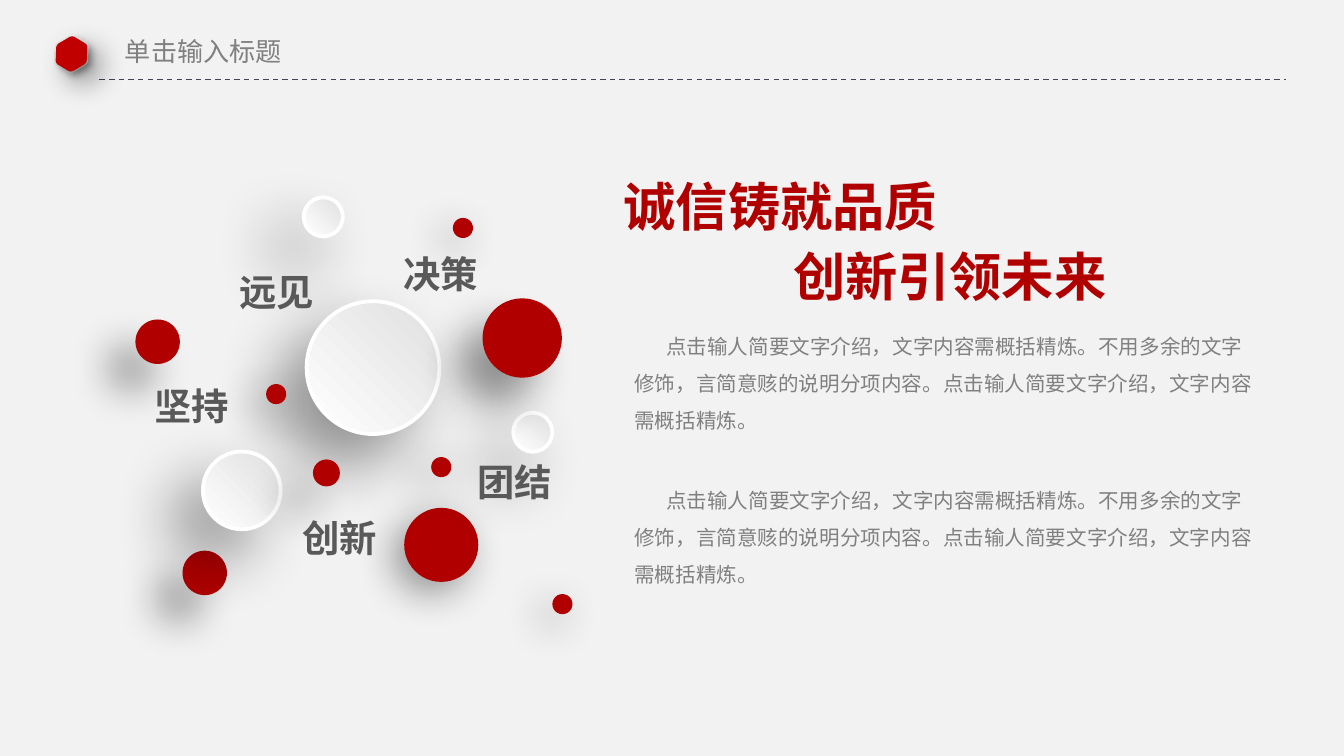
import math

import lxml.etree
import pptx
import pptx.dml.color
import pptx.enum.dml
import pptx.enum.shapes
import pptx.enum.text
import pptx.oxml.ns
import pptx.util

Cm = pptx.util.Cm
Pt = pptx.util.Pt
qn = pptx.oxml.ns.qn
Align = pptx.enum.text.PP_ALIGN

THEME = {
    "page": "F2F2F2", "red": "B00000", "badge": "C00000", "label": "595959",
    "grey": "808080", "rule": "414455",
    "pearl": ("E0E0E0", "FFFFFF"), "rim": ("D9D9D9", "FFFFFF", "FFFFFF"),
    "badge_edge": ("D3D3D3", "F9F9F9"),
    "latin": "Calibri", "cjk": "Noto Sans CJK SC",
    "title_size": 14, "headline_size": 28, "label_size": 20, "body_size": 11,
}
SHADOWS = {
    "pearl": (35, 22, 135), "near": (22, 8, 135), "far": (22, 20, 135),
    "edge": (15, 9, 45), "badge": (4, 3, 45),
}
INSETS = (0.28, 0.15)

TITLE = ("单击输入标题", (2.11, 0.53, 3.51, 0.86))
HEADLINES = [
    ("诚信铸就品质", (11.51, 3.15, 7.47, 1.47)),
    ("创新引领未来", (14.71, 4.47, 8, 1.47)),
]
INTRO = ("点击输人简要文字介绍，文字内容需概括精炼。不用多余的文字修饰，"
         "言简意赅的说明分项内容。点击输人简要文字介绍，文字内容需概括精炼。")
INTRO_TOPS = [5.94, 8.84]
LABELS = [
    ("远见", 3.86, 4.93), ("决策", 6.96, 4.6), ("团结", 8.36, 8.53),
    ("创新", 5.05, 9.58), ("坚持", 2.26, 7.09),
]
DISCS = [
    ("pearl", 7.05, 6.95, 2.51),
    ("near", 8.34, 10.3, 1.4),
    ("far", 3.87, 10.83, 0.84),
    ("far", 2.98, 6.46, 0.84),
    ("pearl", 4.57, 9.27, 1.47),
    ("pearl", 10.07, 8.17, 0.74),
    ("far", 9.87, 6.39, 1.5),
    ("pearl", 6.11, 4.1, 0.74),
    ("near", 8.34, 8.83, 0.38),
    ("near", 8.75, 4.31, 0.38),
    ("near", 10.63, 11.42, 0.38),
    ("near", 5.22, 7.45, 0.38),
    ("far", 6.17, 8.94, 0.51),
]


def rgb(value):
    return pptx.dml.color.RGBColor.from_string(value)


def add_xml(parent, tag, **attributes):
    return lxml.etree.SubElement(parent, qn(tag), attributes)


def set_solid(fill, color):
    fill.solid()
    fill.fore_color.rgb = rgb(color)


def set_gradient(fill, colors, angle):
    fill.gradient()
    fill.gradient_angle = angle
    for stop, color in zip(fill.gradient_stops, colors):
        stop.color.rgb = rgb(color)


def set_shadow(shape, kind):
    blur, distance, angle = SHADOWS[kind]
    shape.shadow.inherit = False
    effects = shape.element.spPr.find(qn("a:effectLst"))
    outer = add_xml(effects, "a:outerShdw", blurRad=str(Pt(blur)), dist=str(Pt(distance)),
                    dir=str(angle * 60000), algn="ctr", rotWithShape="0")
    add_xml(add_xml(outer, "a:srgbClr", val="000000"), "a:alpha", val="40000")


def set_rim(shape):
    shape.line.width = Pt(2)
    line = shape.line._get_or_add_ln()
    gradient = add_xml(line, "a:gradFill")
    stops = add_xml(gradient, "a:gsLst")
    for position, color in zip((0, 50000, 100000), THEME["rim"]):
        add_xml(add_xml(stops, "a:gs", pos=str(position)), "a:srgbClr", val=color)
    add_xml(gradient, "a:lin", ang=str(315 * 60000), scaled="0")


def write(box, text, size, color, latin, bold=False, align=Align.LEFT,
          insets=INSETS, wrap=True):
    frame = box.text_frame
    frame.word_wrap = wrap
    frame.auto_size = pptx.enum.text.MSO_AUTO_SIZE.SHAPE_TO_FIT_TEXT
    frame.vertical_anchor = pptx.enum.text.MSO_ANCHOR.TOP
    frame.margin_left = frame.margin_right = Cm(insets[0])
    frame.margin_top = frame.margin_bottom = Cm(insets[1])
    para = frame.paragraphs[0]
    para.alignment = align
    span = para.add_run()
    span.text = text
    span.font.size = Pt(size)
    span.font.bold = bold
    span.font.color.rgb = rgb(color)
    span.font.name = latin
    add_xml(span.font._element, "a:ea", typeface=THEME["cjk"])
    return para


def add_box(page, place):
    return page.shapes.add_textbox(*map(Cm, place))


def add_disc(page, kind, x, y, size):
    disc = page.shapes.add_shape(pptx.enum.shapes.MSO_SHAPE.OVAL, Cm(x - size / 2),
                                 Cm(y - size / 2), Cm(size), Cm(size))
    if kind == "pearl":
        set_gradient(disc.fill, THEME["pearl"], 225)
        set_rim(disc)
    else:
        set_solid(disc.fill, THEME["red"])
        disc.line.fill.background()
    set_shadow(disc, kind)


def add_hexagon(page, x, y, width, height):
    corners = [(x + width / 2 * math.cos(math.radians(60 * k)),
                y + height / math.sqrt(3) * math.sin(math.radians(60 * k))) for k in range(6)]
    points = []
    for k, corner in enumerate(corners):
        before, after = corners[k - 1], corners[(k + 1) % 6]
        for back, ahead in ((0.14, 0), (0.04, 0.04), (0, 0.14)):
            points.append(tuple(Cm(c + back * (b - c) + ahead * (a - c))
                                for b, c, a in zip(before, corner, after)))
    builder = page.shapes.build_freeform(*points[0])
    builder.add_line_segments(points[1:], close=True)
    hexagon = builder.convert_to_shape()
    hexagon.rotation = 30.9
    hexagon.line.fill.background()
    return hexagon


def add_header(page):
    rule = page.shapes.add_connector(pptx.enum.shapes.MSO_CONNECTOR.STRAIGHT,
                                     Cm(1.88), Cm(1.5), Cm(24.31), Cm(1.5))
    rule.line.color.rgb = rgb(THEME["rule"])
    rule.line.width = Pt(0.75)
    rule.line.dash_style = pptx.enum.dml.MSO_LINE.DASH
    add_xml(rule.element.spPr, "a:effectLst")

    edge = add_hexagon(page, 1.35, 1.02, 0.71, 0.66)
    set_gradient(edge.fill, THEME["badge_edge"], 90)
    set_shadow(edge, "edge")
    badge = add_hexagon(page, 1.35, 1.02, 0.67, 0.61)
    set_solid(badge.fill, THEME["badge"])
    set_shadow(badge, "badge")

    text, place = TITLE
    title = page.shapes.title
    title.left, title.top, title.width, title.height = map(Cm, place)
    write(title, text, THEME["title_size"], THEME["grey"], THEME["cjk"],
          insets=(0.25, 0.13), wrap=False)


def main():
    deck = pptx.Presentation()
    deck.slide_width, deck.slide_height = Cm(25.4), Cm(14.29)
    page = deck.slides.add_slide(deck.slide_layouts[5])
    set_solid(page.background.fill, THEME["page"])
    add_header(page)
    for disc in DISCS:
        add_disc(page, *disc)
    for text, left, top in LABELS:
        write(add_box(page, (left, top, 2.74, 1.14)), text, THEME["label_size"],
              THEME["label"], THEME["latin"], bold=True, align=Align.CENTER)
    for text, place in HEADLINES:
        write(add_box(page, place), text, THEME["headline_size"], THEME["red"],
              THEME["latin"], bold=True)
    for top in INTRO_TOPS:
        para = write(add_box(page, (11.71, top, 12.4, 2.31)), INTRO, THEME["body_size"],
                     THEME["grey"], THEME["cjk"])
        para.line_spacing = 1.5
        para._p.get_or_add_pPr().set("indent", str(Cm(0.6)))
    deck.save("out.pptx")


if __name__ == "__main__":
    main()
